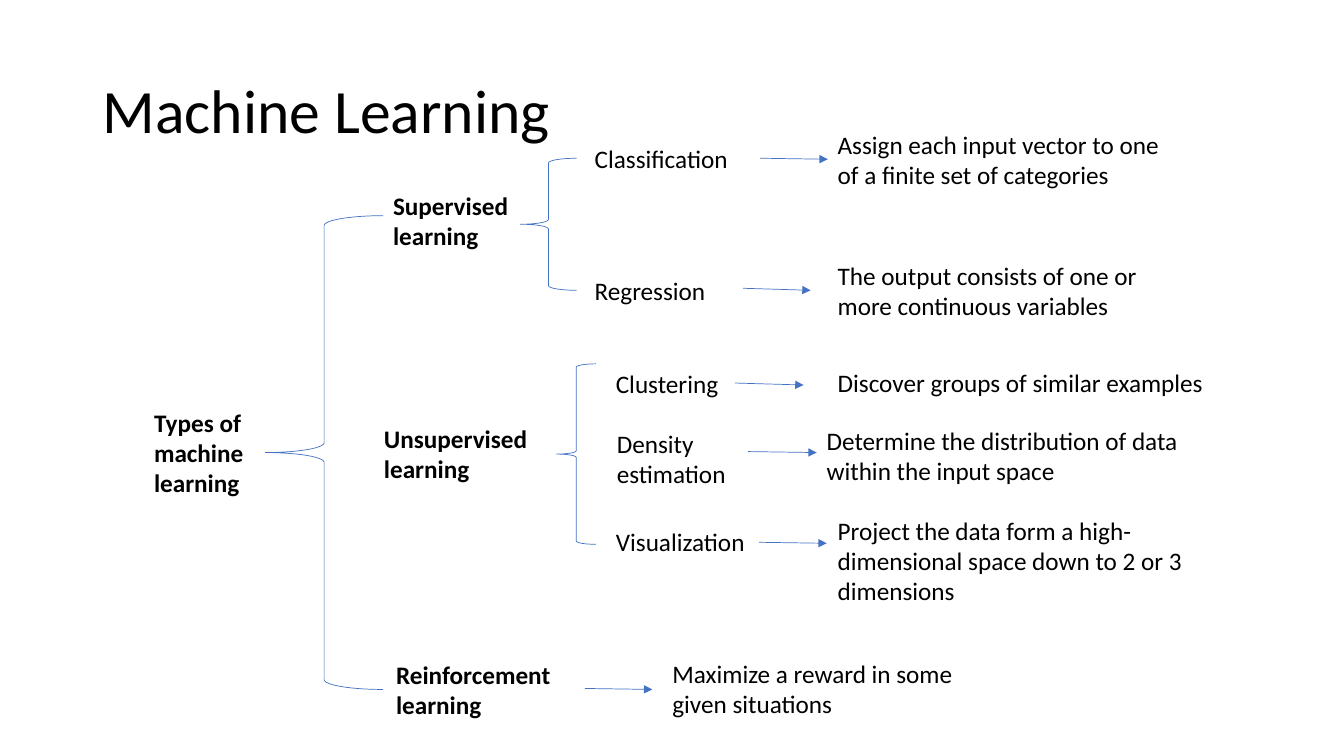
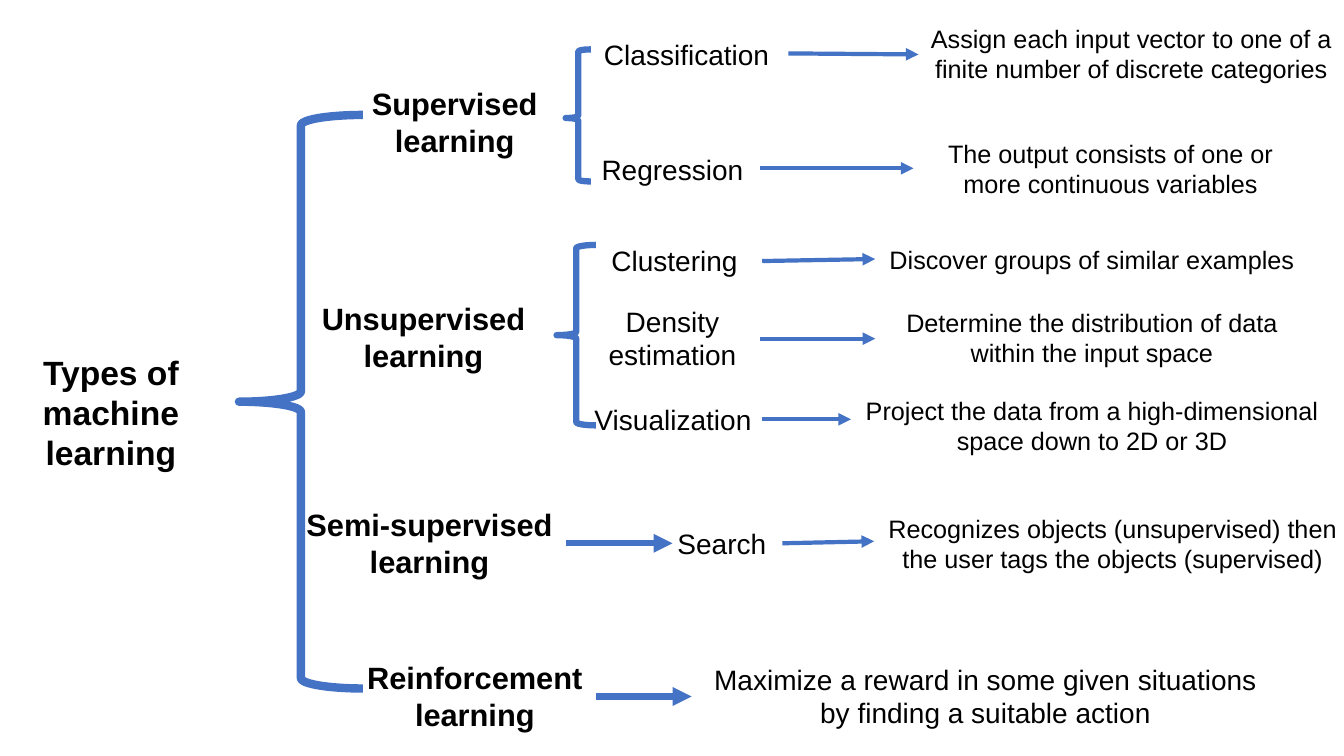
from dataclasses import dataclass

from lxml import etree
from pptx import Presentation
from pptx.dml.color import RGBColor
from pptx.enum.shapes import MSO_CONNECTOR, MSO_SHAPE
from pptx.enum.text import MSO_ANCHOR, MSO_AUTO_SIZE, PP_ALIGN
from pptx.oxml.ns import qn
from pptx.util import Inches, Pt

STRAIGHT = MSO_CONNECTOR.STRAIGHT
BRACE = MSO_SHAPE.LEFT_BRACE
MIDDLE, TOP = MSO_ANCHOR.MIDDLE, MSO_ANCHOR.TOP
GROW = MSO_AUTO_SIZE.SHAPE_TO_FIT_TEXT
LEFT, CENTER = PP_ALIGN.LEFT, PP_ALIGN.CENTER


@dataclass
class Theme:
    font: str
    align: int
    root: float
    head: float
    leaf: float
    note: float
    trunk: float  # line widths, from the root outwards
    limb: float
    twig: float
    title: float = 44
    ink: RGBColor = RGBColor(0, 0, 0)
    line: RGBColor = RGBColor(0x44, 0x72, 0xC4)


PLAIN = Theme("Calibri", LEFT, 18, 18, 18, 18, 0.5, 0.5, 0.5)
BOLD = Theme("Arial", CENTER, 24, 22, 20, 18, 6, 4.5, 3)


def shift(box, part):
    """Place a part, given relative to the box's corner, on the slide."""
    return (box[0] + part[0], box[1] + part[1], *part[2:])


class Tree:
    """Draws a tree of terms on one slide in one theme."""

    def __init__(self, deck, theme):
        self.shapes = deck.slides.add_slide(deck.slide_layouts[6]).shapes
        self.theme = theme

    def text(self, box, words, size, bold=False, anchor=TOP, space=None):
        frame = self.shapes.add_textbox(*map(Inches, box)).text_frame
        frame.word_wrap = True
        frame.vertical_anchor = anchor
        if anchor == TOP:
            frame.auto_size = GROW
        for i, line in enumerate(words.split("\n")):
            para = frame.add_paragraph() if i else frame.paragraphs[0]
            para.alignment = self.theme.align
            para.line_spacing = space
            run = para.add_run()
            run.text = line
            run.font.name = self.theme.font
            run.font.size = Pt(size)
            run.font.bold = bold
            run.font.color.rgb = self.theme.ink

    def title(self, box, words):
        self.text(box, words, self.theme.title, anchor=MIDDLE, space=0.9)

    def brace(self, box, width, point=0.5):
        shape = self.shapes.add_shape(BRACE, *map(Inches, box))
        shape.adjustments[1] = point
        shape.shadow.inherit = False
        shape.fill.background()
        shape.line.color.rgb = self.theme.line
        shape.line.width = Pt(width)

    def arrow(self, x, y, run, rise, width):
        ends = map(Inches, (x, y, x + run, y + rise))
        link = self.shapes.add_connector(STRAIGHT, *ends)
        link.line.color.rgb = self.theme.line
        link.line.width = Pt(width)
        line = link.line._get_or_add_ln()
        etree.SubElement(line, qn("a:tailEnd"), type="triangle")
        etree.SubElement(link._element.spPr, qn("a:effectLst"))

    def root(self, box, words, brace):
        self.text(box, words, self.theme.root, bold=True)
        self.brace(shift(box, brace), self.theme.trunk)

    def head(self, box, words, brace=None, point=0.5, arrow=None,
             note=None, about=""):
        """A bold term, followed by a brace or by an arrow and a note."""
        self.text(box, words, self.theme.head, bold=True)
        if brace:
            self.brace(shift(box, brace), self.theme.limb, point)
        if arrow:
            self.arrow(*shift(box, arrow), self.theme.limb)
        if note:
            self.text(shift(box, note), about, self.theme.leaf)

    def leaf(self, box, words, arrow, note, about):
        self.text(box, words, self.theme.leaf)
        self.arrow(*shift(box, arrow), self.theme.twig)
        self.text(shift(box, note), about, self.theme.note)


def short_tree(deck):
    tree = Tree(deck, PLAIN)
    tree.title((0.92, 0.4, 11.5, 1.45), "Machine Learning")
    tree.root((1.43, 3.99, 1.74, 1.01), "Types of machine learning",
              (1.2, -1.85, 1.17, 4.7))
    tree.head((3.8, 1.84, 1.74, 0.71), "Supervised learning",
              brace=(1.36, -0.27, 0.56, 1.31))
    tree.head((3.71, 4.15, 1.74, 0.71), "Unsupervised learning",
              brace=(1.81, -0.54, 0.39, 1.79))
    tree.head((3.83, 6.49, 1.74, 0.71), "Reinforcement learning",
              arrow=(1.97, 0.34, 0.67, 0.01),
              note=(2.74, -0.01, 3.53, 0.71),
              about="Maximize a reward in some given situations")
    leaves = [
        ((5.8, 1.37, 1.74, 0.4), "Classification",
         (1.74, 0.2, 0.67, 0.01), (2.41, -0.14, 3.53, 0.71),
         "Assign each input vector to one of a finite set of categories"),
        ((5.8, 2.68, 1.74, 0.4), "Regression",
         (1.57, 0.18, 0.67, 0.02), (2.41, -0.15, 3.53, 0.71),
         "The output consists of one or more continuous variables"),
        ((6.01, 3.6, 1.74, 0.4), "Clustering",
         (1.28, 0.2, 0.68, 0.02), (2.2, -0.01, 4.11, 0.4),
         "Discover groups of similar examples"),
        ((6.02, 4.2, 1.74, 0.71), "Density estimation",
         (1.4, 0.28, 0.68, 0.01), (2.08, -0.03, 4.11, 0.71),
         "Determine the distribution of data within the input space"),
        ((6.01, 5.17, 1.74, 0.4), "Visualization",
         (1.52, 0.21, 0.67, 0.01), (2.2, -0.11, 4.11, 1.01),
         "Project the data form a high-dimensional space down to "
         "2 or 3 dimensions"),
    ]
    for leaf in leaves:
        tree.leaf(*leaf)


def full_tree(deck):
    tree = Tree(deck, BOLD)
    tree.root((0.06, 3.44, 2.08, 1.31), "Types of machine learning",
              (2.31, -2.3, 1.23, 5.69))
    tree.head((3.51, 0.79, 2, 0.84), "Supervised learning",
              brace=(2.1, -0.3, 0.25, 1.31), point=0.52)
    tree.head((3.09, 2.92, 2.22, 0.84), "Unsupervised learning",
              brace=(2.43, -0.49, 0.39, 1.79))
    tree.head((2.92, 4.97, 2.68, 0.84), "Semi-supervised learning",
              arrow=(2.69, 0.42, 1.06, 0))
    tree.head((3.51, 6.49, 2.4, 0.84), "Reinforcement learning",
              arrow=(2.4, 0.42, 0.95, 0),
              note=(3.35, 0.03, 5.83, 0.77),
              about="Maximize a reward in some given situations\n"
                    "by finding a suitable action")
    leaves = [
        ((5.85, 0.32, 1.92, 0.44), "Classification",
         (1.97, 0.21, 1.29, 0.01), (3.26, -0.14, 4.22, 0.71),
         "Assign each input vector to one of a finite number of "
         "discrete categories"),
        ((5.8, 1.46, 1.74, 0.44), "Regression",
         (1.74, 0.21, 1.52, 0), (3.26, -0.14, 3.91, 0.71),
         "The output consists of one or more continuous variables"),
        ((5.82, 2.37, 1.74, 0.44), "Clustering",
         (1.74, 0.22, 1.12, -0.02), (2.86, 0, 4.3, 0.4),
         "Discover groups of similar examples"),
        ((5.8, 2.97, 1.74, 0.77), "Density estimation",
         (1.74, 0.39, 1.14, 0), (2.88, 0.03, 4.3, 0.71),
         "Determine the distribution of data within the input space"),
        ((5.79, 3.94, 1.77, 0.44), "Visualization",
         (1.77, 0.22, 0.88, 0), (2.58, -0.07, 4.92, 0.71),
         "Project the data from a high-dimensional space down to "
         "2D or 3D"),
        ((6.29, 5.17, 1.74, 0.44), "Search",
         (1.47, 0.22, 0.91, -0.02), (2.37, -0.13, 4.75, 0.71),
         "Recognizes objects (unsupervised) then the user tags the "
         "objects (supervised)"),
    ]
    for leaf in leaves:
        tree.leaf(*leaf)


def main():
    deck = Presentation()
    deck.slide_width, deck.slide_height = Inches(13.33), Inches(7.5)
    short_tree(deck)
    full_tree(deck)
    deck.save("out.pptx")


if __name__ == "__main__":
    main()
